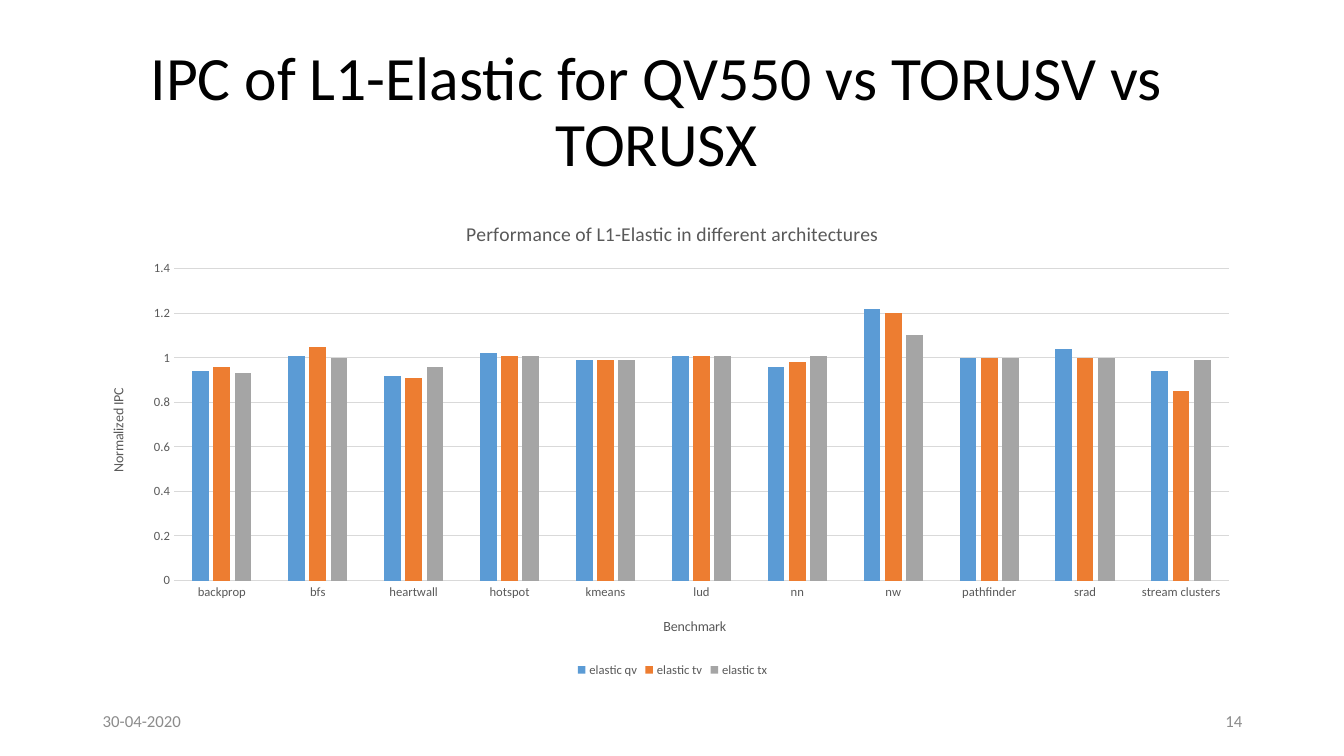
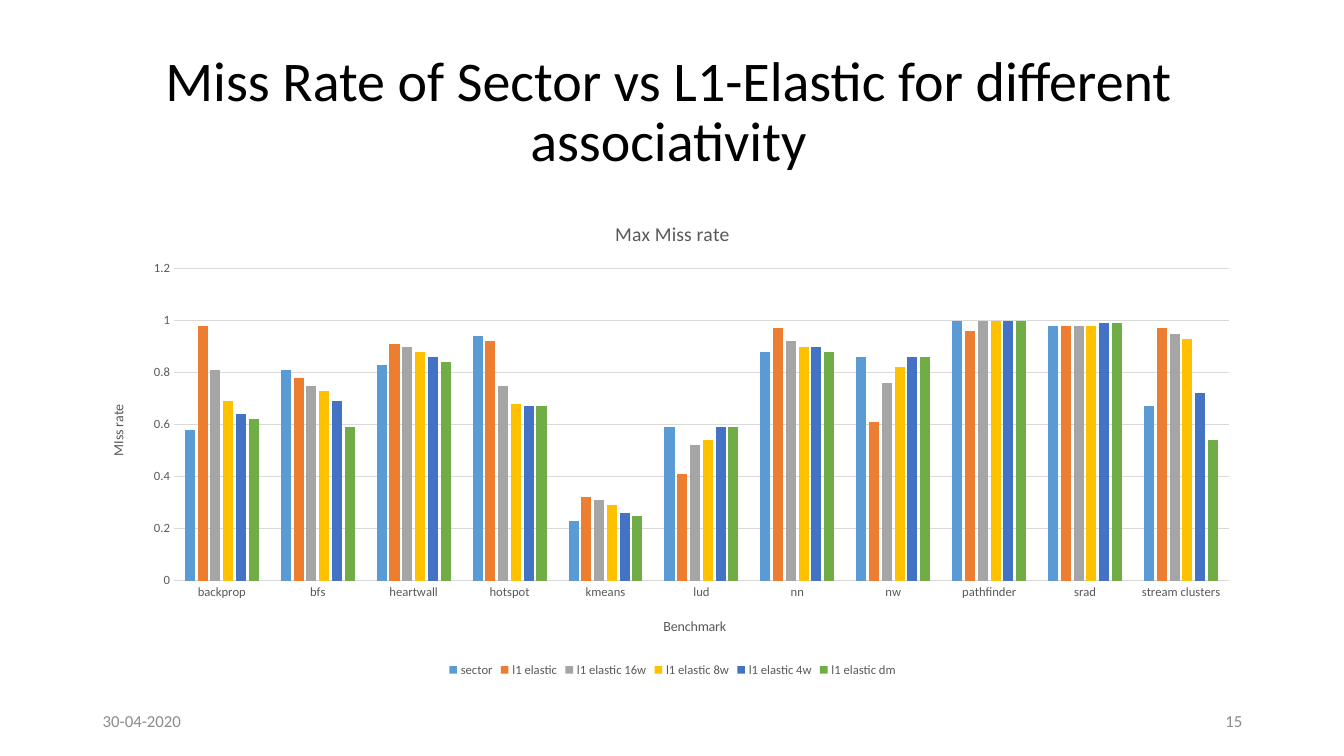
from lxml import etree
from pptx import Presentation
from pptx import util as u
from pptx.chart import data as chart_data
from pptx.dml import color
from pptx.enum import chart as chart_enum, text
from pptx.oxml import ns

BENCHMARKS = ["backprop", "bfs", "heartwall", "hotspot", "kmeans", "lud",
              "nn", "nw", "pathfinder", "srad", "stream clusters"]
PLOT_AREA = {"x": 0.07, "y": 0.14, "w": 0.91, "h": 0.65}
BENCHMARK_TITLE = {"x": 0.49, "y": 0.86}


def rgb(value):
    """Turn a hex string into a colour."""
    return color.RGBColor.from_string(value)


def add_layout(parent, position, inner=False):
    """Build a manual layout, in fractions of the chart, under a chart part."""
    for old in parent.findall(ns.qn("c:layout")):
        parent.remove(old)
    layout = etree.Element(ns.qn("c:layout"))
    manual = etree.SubElement(layout, ns.qn("c:manualLayout"))
    settings = [("layoutTarget", "inner")] if inner else []
    settings += [("xMode", "edge"), ("yMode", "edge"), *position.items()]
    for name, value in settings:
        etree.SubElement(manual, ns.qn(f"c:{name}")).set("val", str(value))
    text_part = parent.find(ns.qn("c:tx"))
    if text_part is None:
        parent.insert(0, layout)
    else:
        text_part.addnext(layout)


class Deck:
    """Holds the shared style and the current slide."""

    FONT = "Calibri"
    BLACK, GREY, FOOTER, GRID = "000000", "595959", "8C8C8C", "D9D9D9"
    SERIES = ["5B9BD5", "ED7D31", "A5A5A5", "FFC000", "4472C4", "70AD47"]
    DATE = "30-04-2020"

    def __init__(self):
        """Start a wide presentation."""
        self.presentation = Presentation()
        self.presentation.slide_width = u.Inches(13.33)
        self.presentation.slide_height = u.Inches(7.5)
        self.slide = None

    def style(self, font, size, hex_color):
        """Apply the shared typeface with a size and colour."""
        font.name, font.size, font.bold = self.FONT, u.Pt(size), False
        font.color.rgb = rgb(hex_color)

    def add_text(self, words, box, size, hex_color, align, spacing=1.0):
        """Add a vertically centred text box."""
        shape = self.slide.shapes.add_textbox(*map(u.Inches, box))
        frame = shape.text_frame
        frame.word_wrap = True
        frame.vertical_anchor = text.MSO_ANCHOR.MIDDLE
        paragraph = frame.paragraphs[0]
        paragraph.text = words
        paragraph.alignment = align
        paragraph.line_spacing = spacing
        self.style(paragraph.font, size, hex_color)

    def add_slide(self, title, title_left, title_width, title_size, number):
        """Add a slide with its title, date and number."""
        layout = self.presentation.slide_layouts[6]
        self.slide = self.presentation.slides.add_slide(layout)
        self.add_text(title, (title_left, 0.4, title_width, 1.45), title_size,
                      self.BLACK, text.PP_ALIGN.CENTER, 0.9)
        self.add_text(str(number), (9.42, 6.95, 3, 0.4), 12,
                      self.FOOTER, text.PP_ALIGN.RIGHT)
        self.add_text(self.DATE, (0.92, 6.95, 3, 0.4), 12,
                      self.FOOTER, text.PP_ALIGN.LEFT)

    def set_title(self, owner, words, size):
        """Title a chart or an axis."""
        paragraph = owner.text_frame.paragraphs[0]
        paragraph.text = words
        self.style(paragraph.font, size, self.GREY)

    def style_axis(self, axis, title):
        """Give an axis its title, labels and plain ticks."""
        self.set_title(axis.axis_title, title, 10)
        self.style(axis.tick_labels.font, 9, self.GREY)
        axis.major_tick_mark = chart_enum.XL_TICK_MARK.NONE
        axis.minor_tick_mark = chart_enum.XL_TICK_MARK.NONE

    def style_line(self, line):
        """Draw a thin light line."""
        line.color.rgb = rgb(self.GRID)
        line.width = u.Pt(0.75)

    def add_columns(self, title, value_title, maximum, series):
        """Add a clustered column chart over the benchmarks."""
        values = chart_data.CategoryChartData()
        values.categories = BENCHMARKS
        for name, numbers in series.items():
            values.add_series(name, numbers)
        chart = self.slide.shapes.add_chart(
            chart_enum.XL_CHART_TYPE.COLUMN_CLUSTERED,
            *map(u.Inches, (0.92, 2, 11.5, 4.76)), values).chart
        self.style(chart.font, 10, self.BLACK)
        self.set_title(chart.chart_title, title, 14)
        chart.chart_title.include_in_layout = False

        chart.has_legend = True
        chart.legend.position = chart_enum.XL_LEGEND_POSITION.BOTTOM
        chart.legend.include_in_layout = False
        self.style(chart.legend.font, 9, self.GREY)

        category_axis, value_axis = chart.category_axis, chart.value_axis
        self.style_axis(category_axis, "Benchmark")
        self.style_axis(value_axis, value_title)
        self.style_line(category_axis.format.line)
        self.style_line(value_axis.major_gridlines.format.line)
        value_axis.format.line.fill.background()
        value_axis.minimum_scale, value_axis.maximum_scale = 0, maximum
        value_axis.major_unit = 0.2
        value_axis.tick_labels.number_format = "General"
        value_axis.tick_labels.number_format_is_linked = False

        plot = chart.plots[0]
        plot.gap_width, plot.overlap = 219, -27
        plot.vary_by_categories = False
        for column, hex_color in zip(plot.series, self.SERIES):
            column.format.fill.solid()
            column.format.fill.fore_color.rgb = rgb(hex_color)
        plot_area = chart.element.find(".//" + ns.qn("c:plotArea"))
        add_layout(plot_area, PLOT_AREA, inner=True)
        add_layout(plot_area.find(ns.qn("c:catAx") + "/" + ns.qn("c:title")),
                   BENCHMARK_TITLE)


deck = Deck()

deck.add_slide("IPC of L1-Elastic for QV550 vs TORUSV vs TORUSX",
               0.62, 11.79, 44, 14)
deck.add_columns(
    "Performance of L1-Elastic in different architectures",
    "Normalized IPC", 1.4, {
        "elastic qv": [0.94, 1.01, 0.92, 1.02, 0.99, 1.01,
                       0.96, 1.22, 1, 1.04, 0.94],
        "elastic tv": [0.96, 1.05, 0.91, 1.01, 0.99, 1.01,
                       0.98, 1.2, 1, 1, 0.85],
        "elastic tx": [0.93, 1, 0.96, 1.01, 0.99, 1.01,
                       1.01, 1.1, 1, 1, 0.99],
    })

deck.add_slide("Miss Rate of Sector vs L1-Elastic for different associativity",
               0.18, 12.9, 40, 15)
deck.add_columns(
    "Max Miss rate", "MIss rate", 1.2, {
        "sector": [0.58, 0.81, 0.83, 0.94, 0.23, 0.59,
                   0.88, 0.86, 1, 0.98, 0.67],
        "l1 elastic": [0.98, 0.78, 0.91, 0.92, 0.32, 0.41,
                       0.97, 0.61, 0.96, 0.98, 0.97],
        "l1 elastic 16w": [0.81, 0.75, 0.9, 0.75, 0.31, 0.52,
                           0.92, 0.76, 1, 0.98, 0.95],
        "l1 elastic 8w": [0.69, 0.73, 0.88, 0.68, 0.29, 0.54,
                          0.9, 0.82, 1, 0.98, 0.93],
        "l1 elastic 4w": [0.64, 0.69, 0.86, 0.67, 0.26, 0.59,
                          0.9, 0.86, 1, 0.99, 0.72],
        "l1 elastic dm": [0.62, 0.59, 0.84, 0.67, 0.25, 0.59,
                          0.88, 0.86, 1, 0.99, 0.54],
    })

deck.presentation.save("out.pptx")
